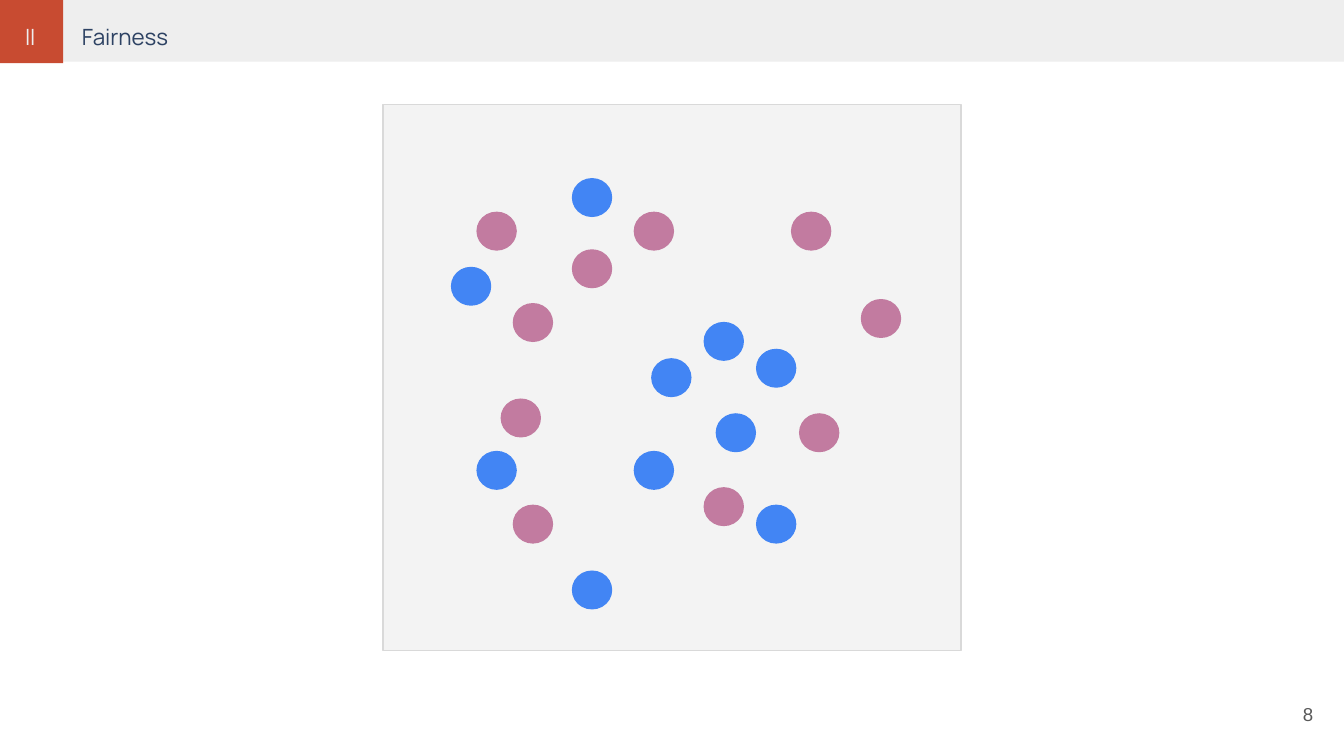
"""Build the Fairness slide: a panel of scattered dots in two groups."""
from pptx import Presentation
from pptx.dml.color import RGBColor
from pptx.enum.shapes import MSO_SHAPE as Shape
from pptx.enum.text import MSO_ANCHOR as Anchor, MSO_AUTO_SIZE as AutoSize, PP_ALIGN as Align
from pptx.util import Inches, Pt

LIGHT_GRAY = RGBColor(0xEE, 0xEE, 0xEE)
RUST = RGBColor(0xC8, 0x4B, 0x31)
NAVY = RGBColor(0x2D, 0x42, 0x63)
PANEL_FILL = RGBColor(0xF3, 0xF3, 0xF3)
PANEL_LINE = RGBColor(0xD9, 0xD9, 0xD9)
BLUE = RGBColor(0x42, 0x85, 0xF4)
PINK = RGBColor(0xC2, 0x7B, 0xA0)
DARK_GRAY = RGBColor(0x59, 0x59, 0x59)

DOT_WIDTH, DOT_HEIGHT = 0.29, 0.28
BLUE_DOTS = [
    (4.26, 4.25), (5.33, 3.08), (4.72, 3.36), (5.63, 2.6), (4.85, 2.67),
    (3.55, 3.36), (5.24, 2.4), (5.63, 3.76), (4.26, 1.33), (3.36, 1.99),
]
PINK_DOTS = [
    (3.73, 2.97), (5.24, 3.63), (5.95, 3.08), (6.41, 2.23), (4.26, 1.86),
    (3.82, 3.76), (5.89, 1.58), (3.82, 2.26), (4.72, 1.58), (3.55, 1.58),
]

presentation = Presentation()
presentation.slide_width = Inches(10)
presentation.slide_height = Inches(10 * 9 / 16)
slide = presentation.slides.add_slide(presentation.slide_layouts[6])


def add_filled_shape(kind, left, top, width, height, fill, line=None):
    shape = slide.shapes.add_shape(kind, Inches(left), Inches(top), Inches(width), Inches(height))
    shape.shadow.inherit = False
    shape.fill.solid()
    shape.fill.fore_color.rgb = fill
    if line is None:
        shape.line.fill.background()
    else:
        shape.line.color.rgb = line
        shape.line.width = Pt(0.75)


def add_label(text, left, top, width, height, size, font_name, color, align, inset=0):
    box = slide.shapes.add_textbox(Inches(left), Inches(top), Inches(width), Inches(height))
    text_frame = box.text_frame
    text_frame.word_wrap = True
    text_frame.margin_left = text_frame.margin_right = Inches(inset)
    text_frame.margin_top = text_frame.margin_bottom = Inches(inset)
    text_frame.text = text
    paragraph = text_frame.paragraphs[0]
    paragraph.alignment = align
    font = paragraph.runs[0].font
    font.size = Pt(size)
    font.name = font_name
    font.color.rgb = color
    return text_frame


add_filled_shape(Shape.RECTANGLE, 0, 0, 10, 0.46, LIGHT_GRAY)
add_filled_shape(Shape.RECTANGLE, 0, 0, 0.47, 0.47, RUST)
title = add_label("Fairness", 0.61, 0.13, 5.79, 0.2, 12, "Manrope", NAVY, Align.LEFT)

add_filled_shape(Shape.RECTANGLE, 2.85, 0.78, 4.3, 4.06, PANEL_FILL, PANEL_LINE)
for color, dots in ((BLUE, BLUE_DOTS), (PINK, PINK_DOTS)):
    for left, top in dots:
        add_filled_shape(Shape.OVAL, left, top, DOT_WIDTH, DOT_HEIGHT, color, color)

section = add_label("II", 0.08, 0.13, 0.29, 0.2, 12, "Manrope", LIGHT_GRAY, Align.CENTER)
for text_frame in (title, section):
    text_frame.auto_size = AutoSize.SHAPE_TO_FIT_TEXT
    text_frame.paragraphs[0].line_spacing = 1.2

page_number = add_label("8", 9.27, 5.1, 0.6, 0.43, 10, "Arial", DARK_GRAY, Align.RIGHT, 0.1)
page_number.vertical_anchor = Anchor.MIDDLE

presentation.save("out.pptx")
